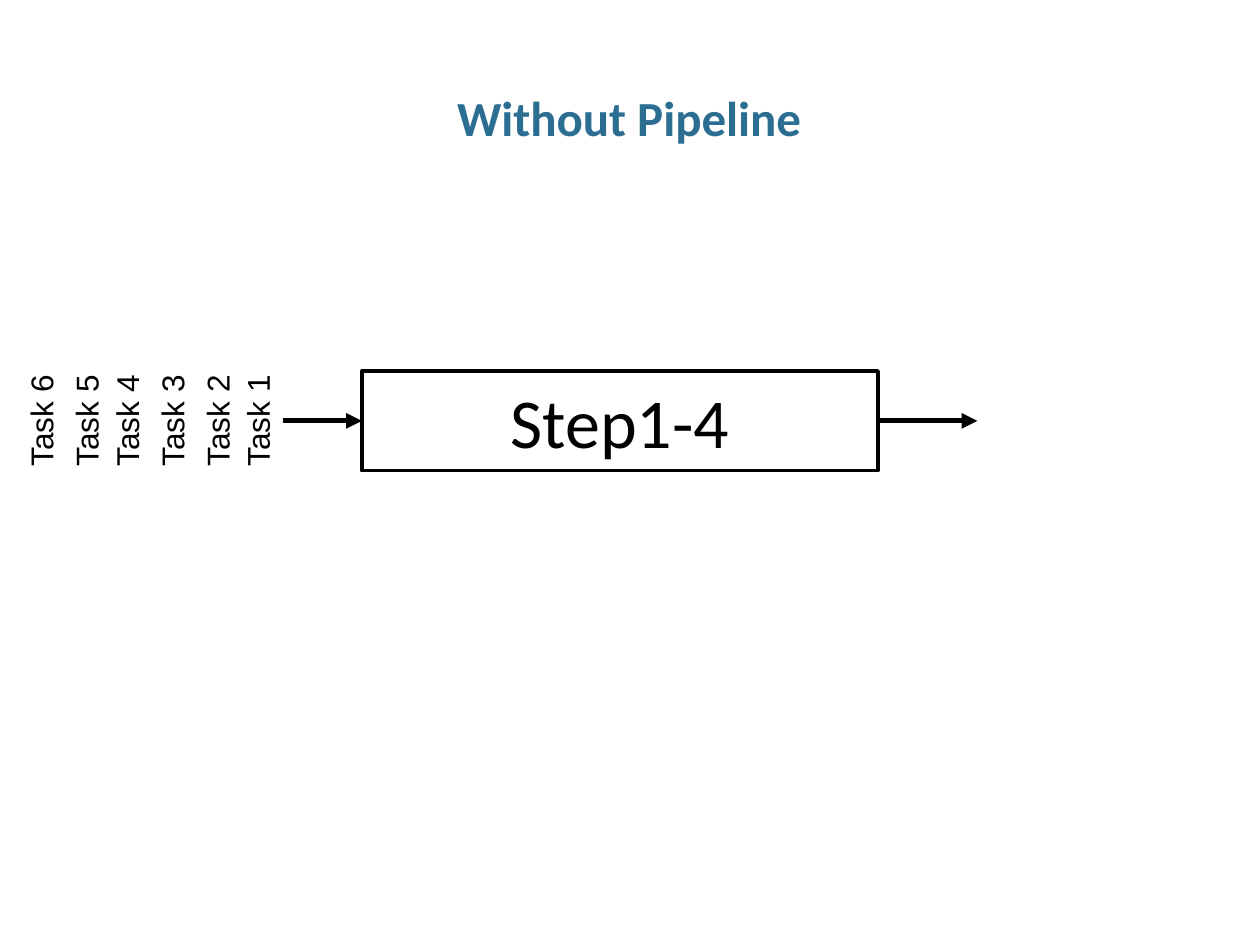
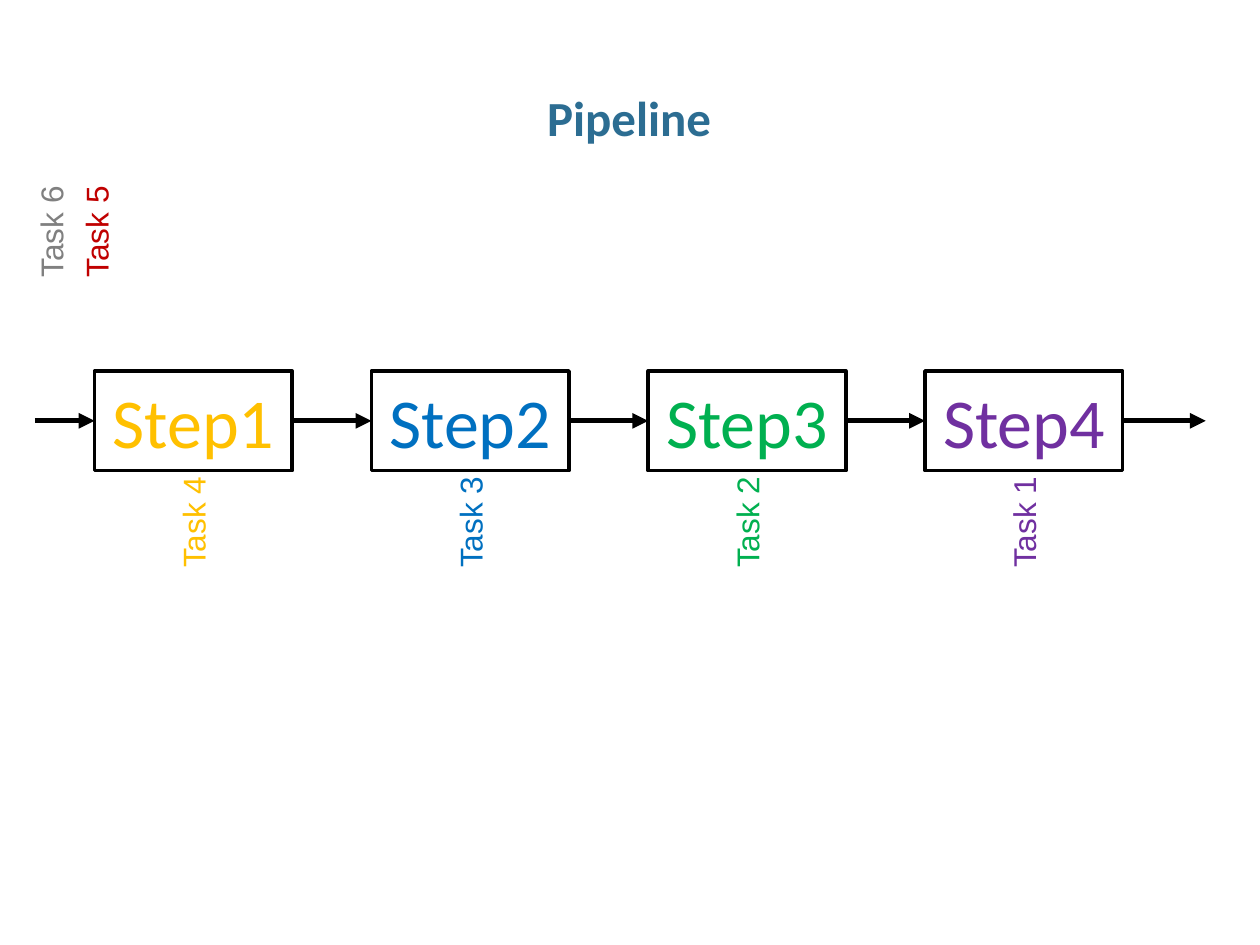
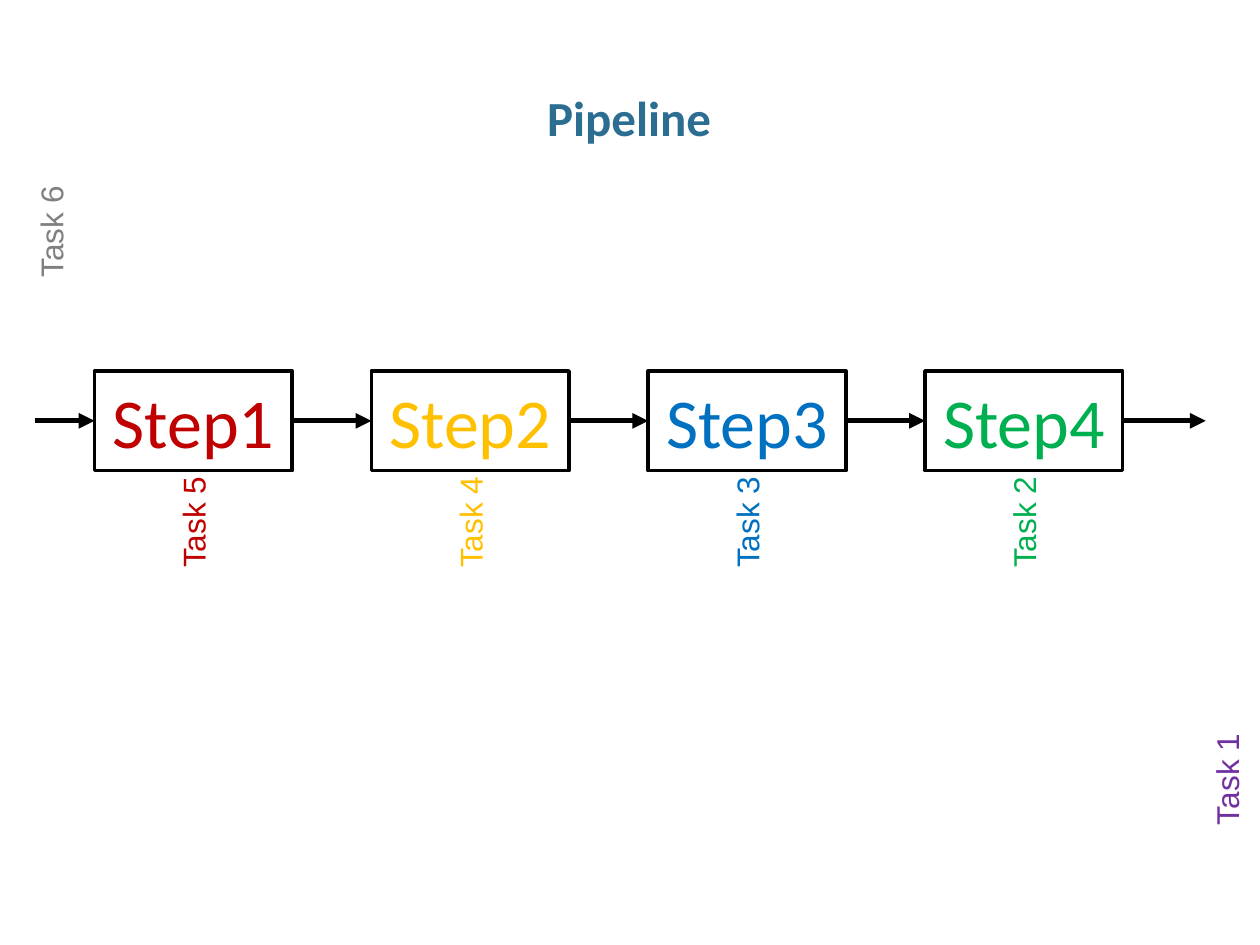
from lxml import etree
from pptx import Presentation
from pptx.dml.color import RGBColor
from pptx.enum.shapes import MSO_CONNECTOR, MSO_SHAPE
from pptx.enum.text import MSO_ANCHOR as Anchor, MSO_AUTO_SIZE as AutoSize, PP_ALIGN as Align
from pptx.oxml.ns import qn
from pptx.util import Pt

BLACK = "000000"
TITLE_BLUE = "2C6D92"
TASK_COLORS = {1: "7030A0", 2: "00B050", 3: "0070C0",
               4: "FFC000", 5: "C00000", 6: "808080"}

LANE_TOP, LANE_HEIGHT = 212, 57
LANE_MIDDLE = LANE_TOP + LANE_HEIGHT / 2
STEP_COUNT = 4
STEP_LEFT, STEP_WIDTH, STEP_PITCH = 54, 113, 158.2
TASK_WIDTH, TASK_HEIGHT = 67, 29
BELOW_STEP = 298
LEFT_SIDE, RIGHT_SIDE = 1, 3


def color(hex_string):
    return RGBColor.from_string(hex_string)


def style(para, font_name, size, hex_string, bold=False):
    font = para.font
    font.name, font.size, font.bold = font_name, Pt(size), bold
    font.color.rgb = color(hex_string)


def add_page(deck, heading):
    page = deck.slides.add_slide(deck.slide_layouts[5])
    title = page.shapes.title
    title.left, title.top, title.width, title.height = Pt(24.5), Pt(49), Pt(670), Pt(36)
    frame = title.text_frame
    frame.text = heading
    frame.auto_size = AutoSize.NONE
    frame.vertical_anchor = Anchor.TOP
    frame.margin_left = frame.margin_right = 0
    frame.margin_top = frame.margin_bottom = Pt(3.6)
    para = frame.paragraphs[0]
    para.alignment = Align.CENTER
    para.line_spacing = 0.95
    style(para, "Calibri", 28, TITLE_BLUE, bold=True)
    return page


def add_step(page, label, left, width, text_color):
    box = page.shapes.add_shape(MSO_SHAPE.RECTANGLE, Pt(left), Pt(LANE_TOP),
                                Pt(width), Pt(LANE_HEIGHT))
    box.shadow.inherit = False
    box.fill.background()
    box.line.color.rgb = color(BLACK)
    box.line.width = Pt(2)
    frame = box.text_frame
    frame.text = label
    frame.vertical_anchor = Anchor.MIDDLE
    para = frame.paragraphs[0]
    para.alignment = Align.CENTER
    style(para, "Calibri", 40, text_color)
    return box


def add_arrow(page, start_x, end_x, source=None, target=None):
    """Draw an arrow along the lane, joined to the boxes given."""
    arrow = page.shapes.add_connector(MSO_CONNECTOR.STRAIGHT, Pt(start_x), Pt(LANE_MIDDLE),
                                      Pt(end_x), Pt(LANE_MIDDLE))
    if source is not None:
        arrow.begin_connect(source, RIGHT_SIDE)
    if target is not None:
        arrow.end_connect(target, LEFT_SIDE)
    arrow.line.color.rgb = color(BLACK)
    arrow.line.width = Pt(3)
    outline = arrow._element.spPr.find(qn("a:ln"))
    etree.SubElement(outline, qn("a:tailEnd"), type="triangle")
    etree.SubElement(arrow._element.spPr, qn("a:effectLst"))


def add_flow(page, boxes, start_x, end_x):
    """Link the boxes in a row, with an arrow in and an arrow out."""
    for source, target in zip([None, *boxes], [*boxes, None]):
        from_x = source.left.pt + source.width.pt if source else start_x
        to_x = target.left.pt if target else end_x
        add_arrow(page, from_x, to_x, source, target)


def add_task(page, number, center_x, center_y, text_color):
    box = page.shapes.add_textbox(Pt(center_x - TASK_WIDTH / 2), Pt(center_y - TASK_HEIGHT / 2),
                                  Pt(TASK_WIDTH), Pt(TASK_HEIGHT))
    box.rotation = 270
    frame = box.text_frame
    frame.word_wrap = False
    frame.auto_size = AutoSize.SHAPE_TO_FIT_TEXT
    frame.text = f"Task {number}"
    style(frame.paragraphs[0], "Arial", 18, text_color)


def add_unpiped_page(deck):
    page = add_page(deck, "Without Pipeline")
    box = add_step(page, "Step1-4", 206.8, 295, BLACK)
    add_flow(page, [box], 161.5, 558.5)
    for number, center_x in enumerate((147.2, 124.2, 98.3, 72.4, 49.3, 23.4), start=1):
        add_task(page, number, center_x, 240, BLACK)


def add_pipeline_page(deck, first_task, other_tasks):
    """Show first_task in the last step, and the next tasks in the steps before it."""
    page = add_page(deck, "Pipeline")
    active = [first_task + STEP_COUNT - 1 - index for index in range(STEP_COUNT)]
    lefts = [STEP_LEFT + STEP_PITCH * index for index in range(STEP_COUNT)]
    boxes = [add_step(page, f"Step{index}", left, STEP_WIDTH, TASK_COLORS[number])
             for index, (left, number) in enumerate(zip(lefts, active), start=1)]
    add_flow(page, boxes, 20, 689)
    places = {number: (left + STEP_WIDTH / 2, BELOW_STEP)
              for number, left in zip(active, lefts)}
    for number, (center_x, center_y) in sorted((places | other_tasks).items()):
        add_task(page, number, center_x, center_y, TASK_COLORS[number])


def main():
    deck = Presentation()
    deck.slide_width, deck.slide_height = Pt(720), Pt(540)
    waiting = {5: (55, 132), 6: (29.2, 132)}
    finished = (701, 445)
    add_unpiped_page(deck)
    add_pipeline_page(deck, 1, waiting)
    add_pipeline_page(deck, 2, {1: finished, 6: waiting[6]})
    deck.save("out.pptx")


if __name__ == "__main__":
    main()
